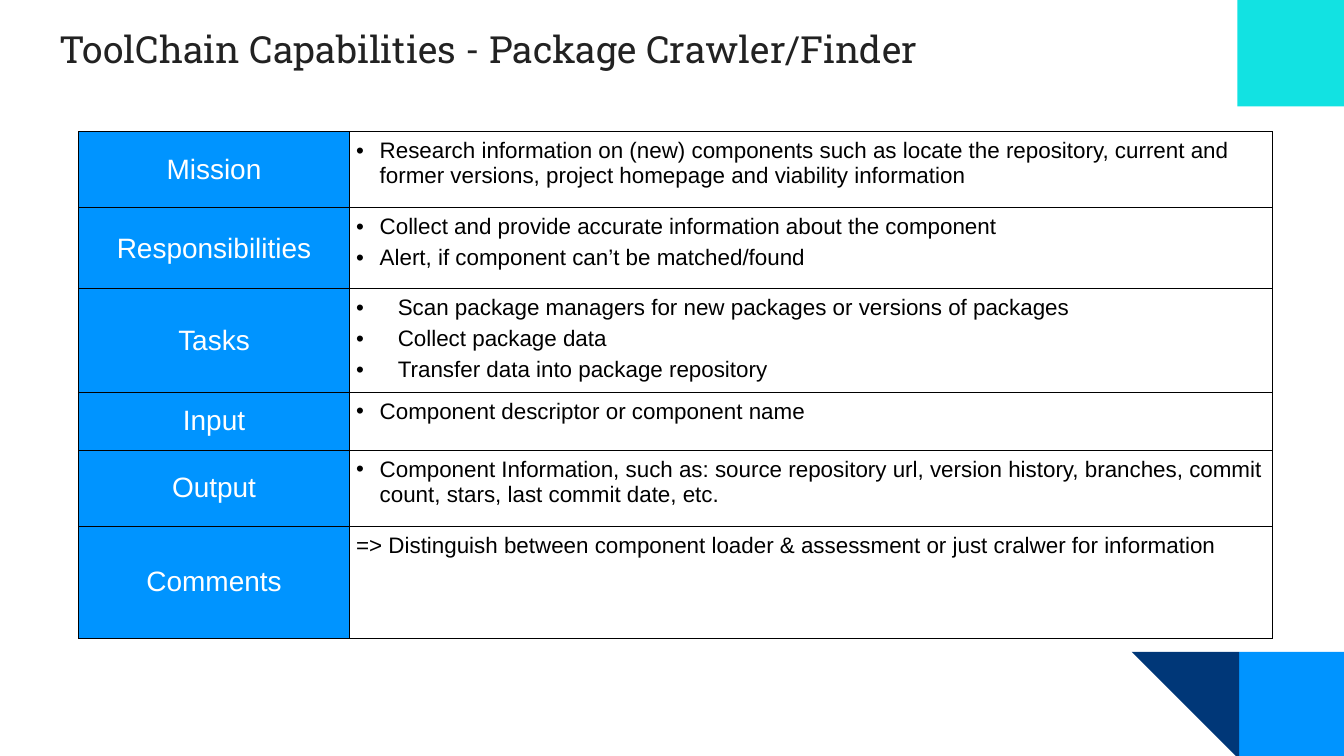
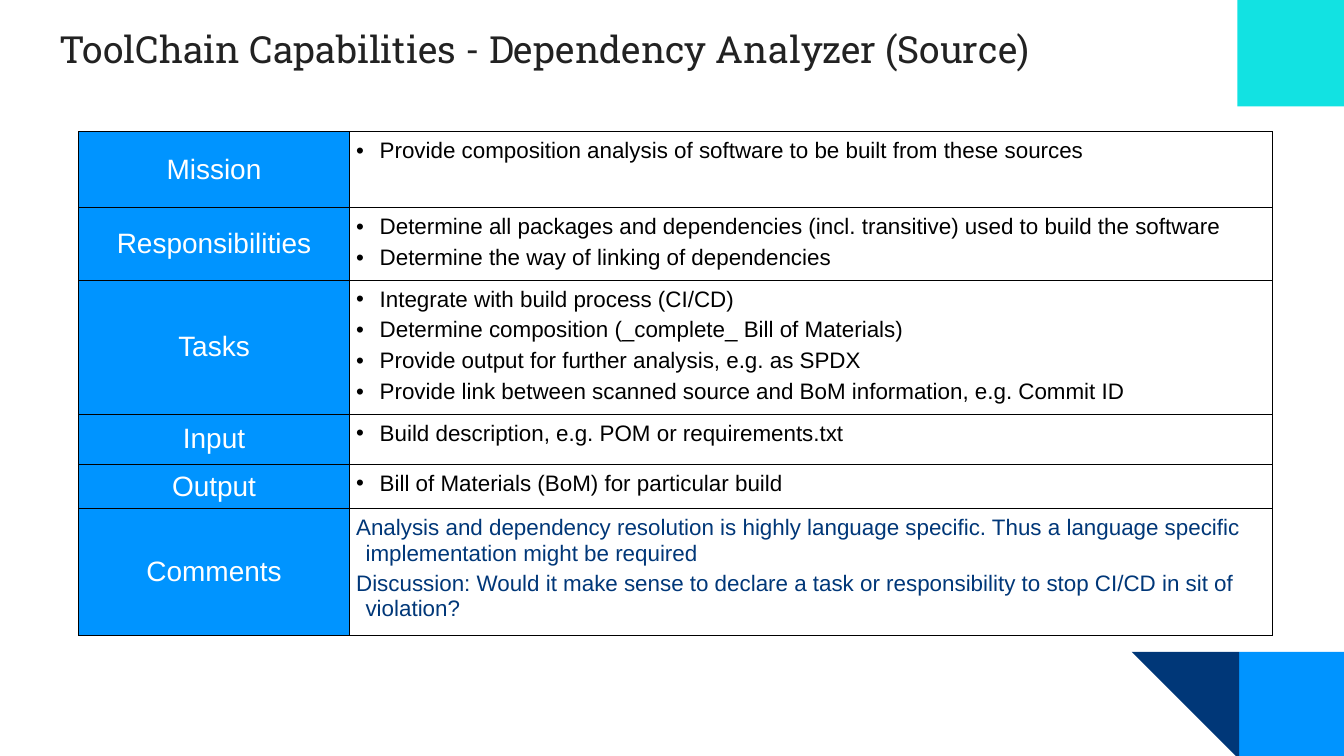
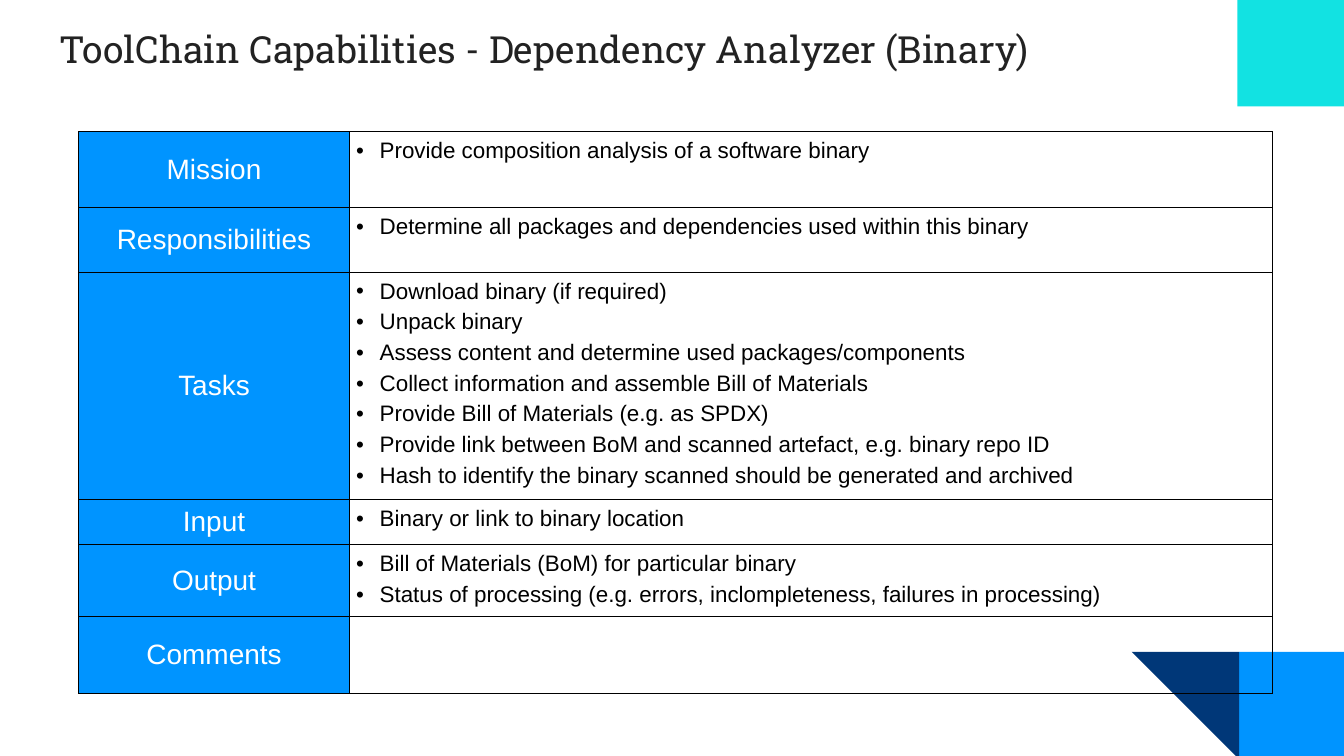
import pptx
import pptx.util
import pptx.dml.color
import pptx.enum.shapes
import pptx.enum.text
from dataclasses import dataclass
from lxml import etree


@dataclass(frozen=True)
class Theme:
    blue: str = "0094FF"
    navy: str = "003778"
    cyan: str = "12E2E2"
    ink: str = "222222"
    black: str = "000000"
    white: str = "FFFFFF"
    title_font: str = "Roboto Slab"
    body_font: str = "Arial"
    title_size: float = 20
    label_size: float = 15
    body_size: float = 12
    space_before: float = 3
    border: float = 0.5


theme = Theme()
rgb = pptx.dml.color.RGBColor.from_string
Pt = pptx.util.Pt
shapes_enum = pptx.enum.shapes.MSO_SHAPE
align = pptx.enum.text.PP_ALIGN
anchor = pptx.enum.text.MSO_ANCHOR

deck = pptx.Presentation()
deck.slide_width = pptx.util.Inches(10)
deck.slide_height = deck.slide_width * 9 // 16
module = deck.slide_width // 100  # square grid, 100 columns across the slide


def grid(*lengths):
    return [round(length * module) for length in lengths]


def add_span(para, text, font, size, colour):
    span = para.add_run()
    span.text = text
    span.font.name = font
    span.font.size = Pt(size)
    span.font.color.rgb = rgb(colour)


# Content: each row has a height in modules and its lines of text
labels = ["Mission", "Responsibilities", "Tasks", "Input", "Output", "Comments"]
pages = [
    {
        "title": "Package Crawler/Finder",
        "task_indent": 3.1,
        "comment_colour": theme.black,
        "rows": [
            (5.67, ["Research information on (new) components such as locate the repository, "
                    "current and former versions, project homepage and viability information"]),
            (6.03, ["Collect and provide accurate information about the component",
                    "Alert, if component can’t be matched/found"]),
            (7.67, ["Scan package managers for new packages or versions of packages",
                    "Collect package data",
                    "Transfer data into package repository"]),
            (4.32, ["Component descriptor or component name"]),
            (5.67, ["Component Information, such as: source repository url, version history, "
                    "branches, commit count, stars, last commit date, etc."]),
            (8.33, ["=> Distinguish between component loader & assessment or just cralwer "
                    "for information"]),
        ],
    },
    {
        "title": "Dependency Analyzer (Source)",
        "task_indent": 1.75,
        "comment_colour": theme.navy,
        "rows": [
            (5.67, ["Provide composition analysis of software to be built from these sources"]),
            (5.37, ["Determine all packages and dependencies (incl. transitive) used to build "
                    "the software",
                    "Determine the way of linking of dependencies"]),
            (9.97, ["Integrate with build process (CI/CD)",
                    "Determine composition (_complete_ Bill of Materials)",
                    "Provide output for further analysis, e.g. as SPDX",
                    "Provide link between scanned source and BoM information, e.g. Commit ID"]),
            (3.72, ["Build description, e.g. POM or requirements.txt"]),
            (3.35, ["Bill of Materials (BoM) for particular build"]),
            (9.38, ["Analysis and dependency resolution is highly language specific. Thus a "
                    "language specific implementation might be required",
                    "Discussion: Would it make sense to declare a task or responsibility to "
                    "stop CI/CD in sit of violation?"]),
        ],
    },
    {
        "title": "Dependency Analyzer (Binary)",
        "task_indent": 1.75,
        "comment_colour": theme.black,
        "rows": [
            (5.67, ["Provide composition analysis of a software binary"]),
            (4.77, ["Determine all packages and dependencies used within this binary"]),
            (16.95, ["Download binary (if required)",
                     "Unpack binary",
                     "Assess content and determine used packages/components",
                     "Collect information and assemble Bill of Materials",
                     "Provide Bill of Materials (e.g. as SPDX)",
                     "Provide link between BoM and scanned artefact, e.g. binary repo ID",
                     "Hash to identify the binary scanned should be generated and archived"]),
            (3.35, ["Binary or link to binary location"]),
            (5.37, ["Bill of Materials (BoM) for particular binary",
                    "Status of processing (e.g. errors, inclompleteness, failures in processing)"]),
            (5.67, []),
        ],
    },
]

# Corner shapes: drawn on the first slide, then moved to the shared layout
layout = deck.slide_layouts[5]
first_slide = deck.slides.add_slide(layout)
corners = [
    (shapes_enum.RECTANGLE, (92.2, 48.5, 7.9, 7.9), 0, theme.blue),
    (shapes_enum.RIGHT_TRIANGLE, (84.2, 48.5, 8, 8), 180, theme.navy),
    (shapes_enum.RECTANGLE, (92.08, 0, 7.92, 7.92), 0, theme.cyan),
]
for number, (kind, place, turn, colour) in enumerate(corners):
    corner = first_slide.shapes.add_shape(kind, *grid(*place))
    corner.shadow.inherit = False
    corner.rotation = turn
    corner.fill.solid()
    corner.fill.fore_color.rgb = rgb(colour)
    corner.line.fill.background()
    corner.element.nvSpPr.cNvPr.id = 20 + number
    layout.shapes.element.insert(2 + number, corner.element)

drawing = "http://schemas.openxmlformats.org/drawingml/2006/main"
column_widths = grid(20.15, 68.7)

for index, page in enumerate(pages):
    slide = first_slide if index == 0 else deck.slides.add_slide(layout)

    # Title
    title = slide.shapes.title
    title.left, title.top, title.width, title.height = grid(3.4, 0.95, 93.2, 6.6)
    box = title.text_frame
    box.word_wrap = True
    box.auto_size = pptx.enum.text.MSO_AUTO_SIZE.NONE
    box.vertical_anchor = anchor.TOP
    box.margin_left = box.margin_right = box.margin_top = box.margin_bottom = module
    box.paragraphs[0].alignment = align.LEFT
    add_span(box.paragraphs[0], "ToolChain Capabilities - " + page["title"],
             theme.title_font, theme.title_size, theme.ink)

    # Table
    heights = [height for height, lines in page["rows"]]
    table = slide.shapes.add_table(
        len(labels), 2, *grid(5.85, 9.8), sum(column_widths), *grid(sum(heights))).table
    table.first_row = table.horz_banding = False
    for column, width in zip(table.columns, column_widths):
        column.width = width
    for row, height in zip(table.rows, heights):
        row.height = round(height * module)

    # Borders
    for cell in table.iter_cells():
        properties = cell._tc.get_or_add_tcPr()
        for side in ("lnL", "lnR", "lnT", "lnB"):
            properties.append(etree.fromstring(
                f'<a:{side} xmlns:a="{drawing}" w="{Pt(theme.border)}"><a:solidFill>'
                f'<a:srgbClr val="{theme.black}"/></a:solidFill></a:{side}>'))

    for label, row, (height, lines) in zip(labels, table.rows, page["rows"]):
        # Label cell
        name_cell, text_cell = row.cells
        name_cell.fill.solid()
        name_cell.fill.fore_color.rgb = rgb(theme.blue)
        name_cell.vertical_anchor = anchor.MIDDLE
        name_cell.margin_left = name_cell.margin_right = 0
        name_cell.margin_top = name_cell.margin_bottom = 0
        para = name_cell.text_frame.paragraphs[0]
        para.alignment = align.CENTER
        add_span(para, label, theme.body_font, theme.label_size, theme.white)

        # Text cell: bullets, except for comments
        text_cell.fill.background()
        text_cell.margin_left = text_cell.margin_right = module // 2
        text_cell.margin_top = text_cell.margin_bottom = module // 2
        bulleted = label != "Comments"
        colour = theme.black if bulleted else page["comment_colour"]
        indent = 1.75 if bulleted else 0.7
        if label == "Tasks":
            indent = page["task_indent"]
        for position, line in enumerate(lines):
            box = text_cell.text_frame
            para = box.add_paragraph() if position else box.paragraphs[0]
            settings = para._p.get_or_add_pPr()
            settings.set("marL", str(round(indent * module)))
            settings.set("indent", str(-round(indent * module)))
            if bulleted:
                tint = etree.SubElement(settings, f"{{{drawing}}}buClr")
                etree.SubElement(tint, f"{{{drawing}}}srgbClr", val=theme.black)
                etree.SubElement(settings, f"{{{drawing}}}buFont", typeface=theme.body_font)
                etree.SubElement(settings, f"{{{drawing}}}buChar", char="•")
            if position:
                para.space_before = Pt(theme.space_before)
            add_span(para, line, theme.body_font, theme.body_size, colour)

deck.save("out.pptx")
